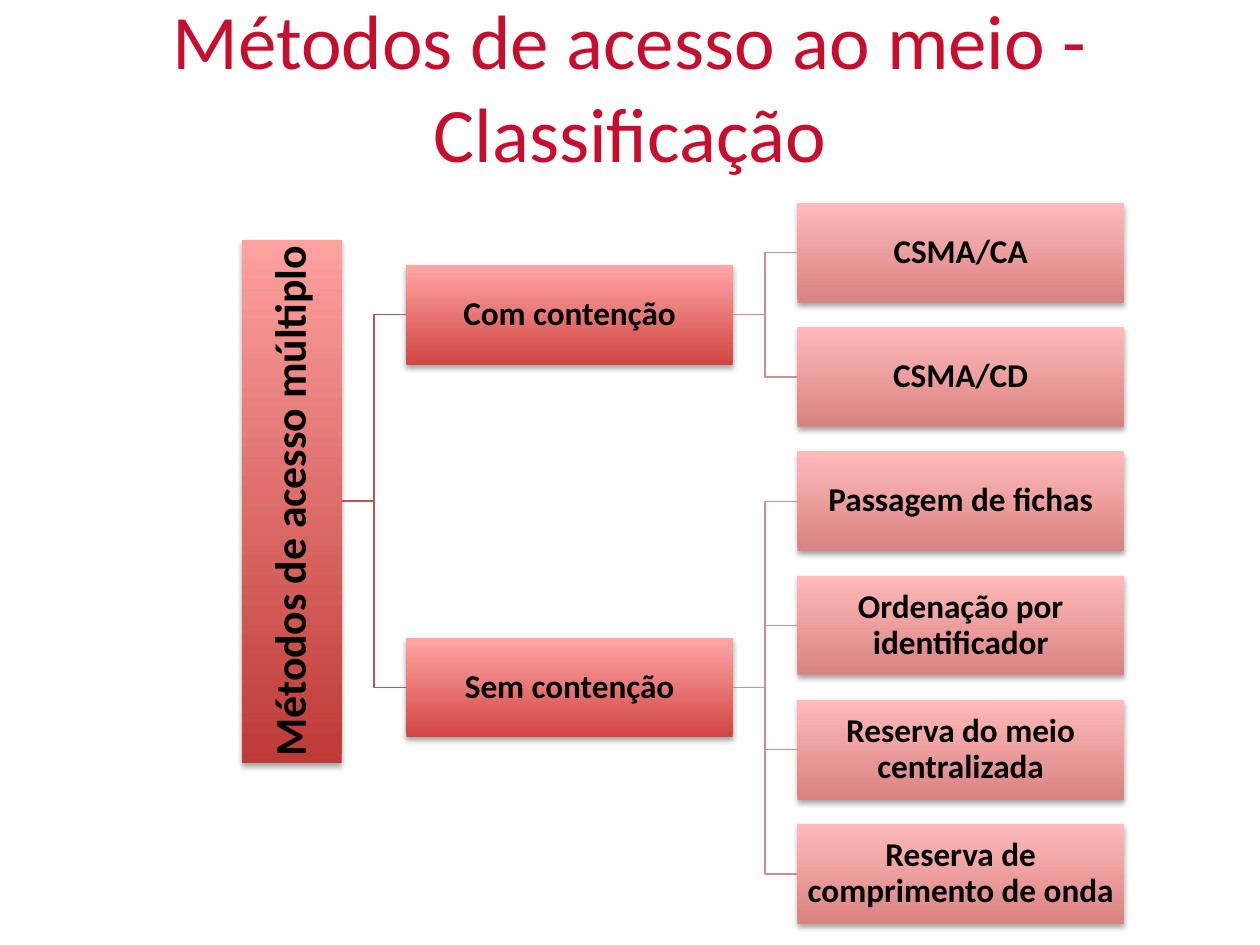
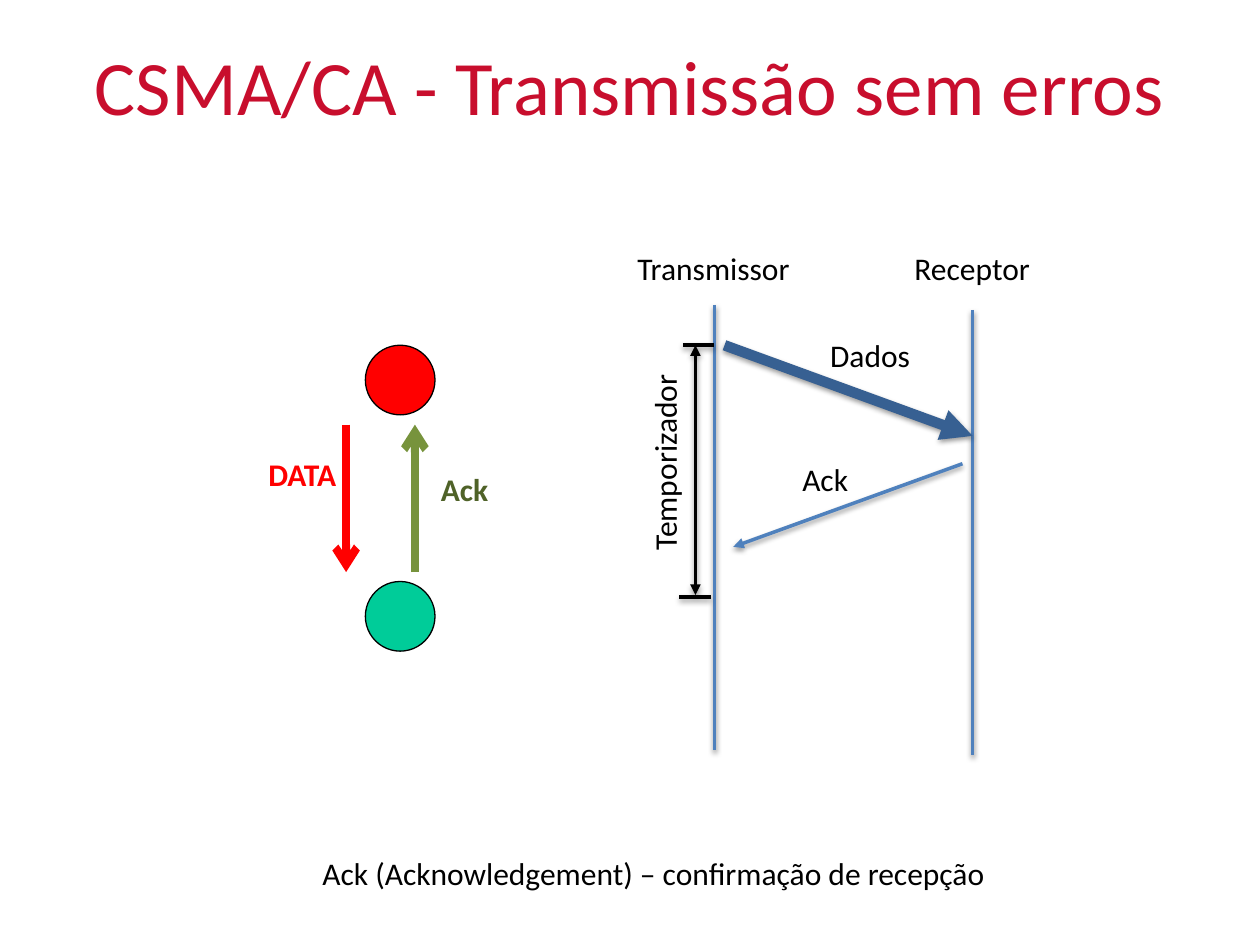
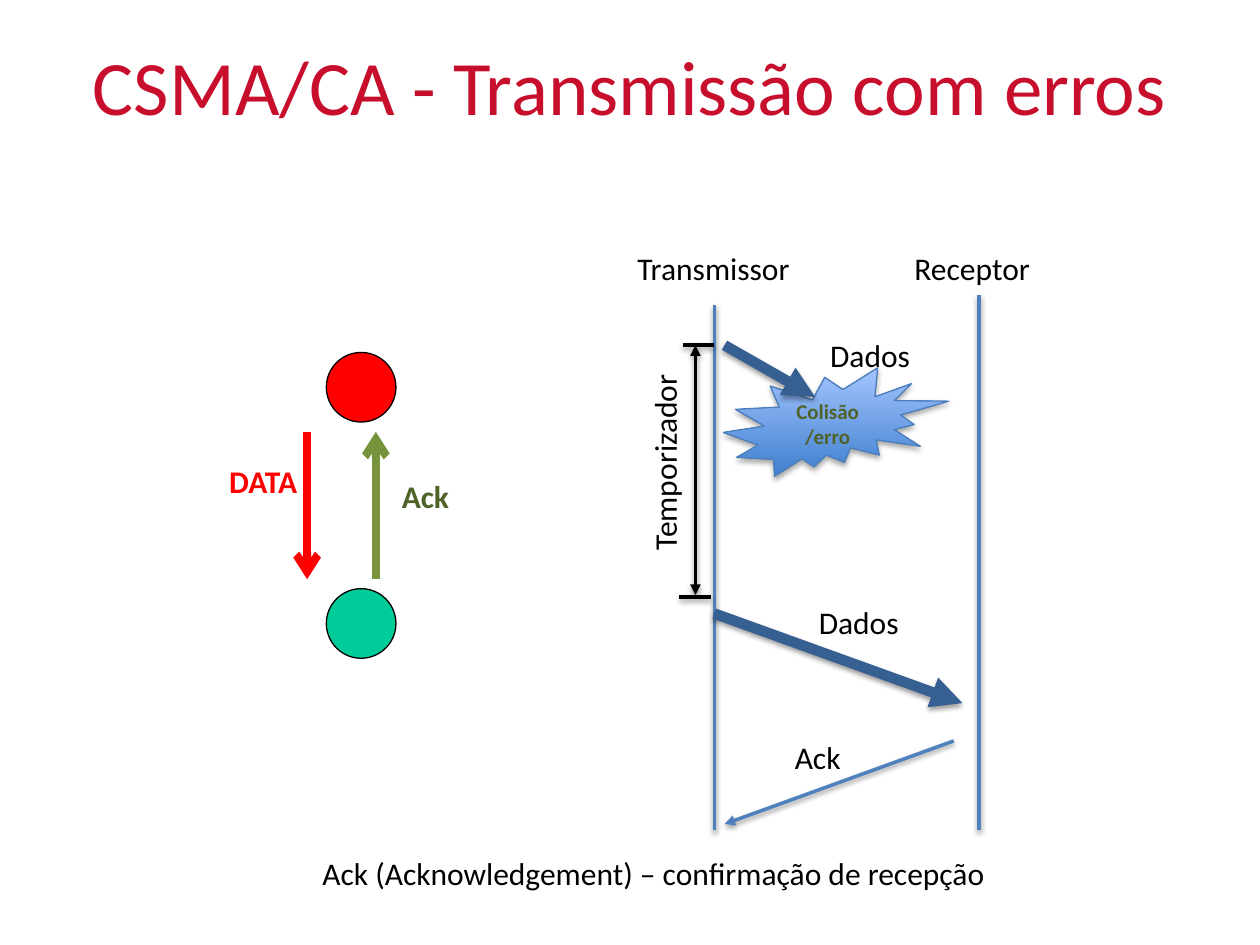
from dataclasses import dataclass

from lxml.etree import SubElement
from pptx import Presentation
from pptx.dml.color import RGBColor
from pptx.enum.shapes import MSO_CONNECTOR, MSO_SHAPE
from pptx.enum.text import MSO_ANCHOR, MSO_AUTO_SIZE, PP_ALIGN
from pptx.oxml.ns import qn
from pptx.util import Pt


# Theme
@dataclass(frozen=True)
class Theme:
    font: str = "Calibri"
    title_size: int = 44
    root_size: int = 25
    box_size: int = 19
    label_size: int = 18
    burst_size: int = 12
    title: str = "C80E2D"
    text: str = "000000"
    root_fill: tuple = ("BE3A36", "FDA19F")
    group_fill: tuple = ("D14541", "FFA7A6")
    method_fill: tuple = ("D98382", "FFBAB9")
    burst_fill: tuple = ("3F80CE", "A4C4FF")
    burst_line: str = "4B7EBC"
    group_link: str = "C15452"
    method_link: str = "CF8D8C"
    sender: str = "FF0000"
    receiver: str = "00CC99"
    ack_arrow: str = "77933C"
    ack_text: str = "4F6228"
    lifeline: str = "4F81BD"
    data_arrow: str = "376092"


THEME = Theme()

# Content: classification tree
TREE_TITLE = "Métodos de acesso ao meio - Classificação"
ROOT = "Métodos de acesso múltiplo"
GROUPS = {
    "Com contenção": ["CSMA/CA", "CSMA/CD"],
    "Sem contenção": [
        "Passagem de fichas",
        "Ordenação por identificador",
        "Reserva do meio centralizada",
        "Reserva de comprimento de onda",
    ],
}

# Content: transmissions; messages are (text, label corner, start, end)
FOOTNOTE = "Ack (Acknowledgement) – confirmação de recepção"
TRANSMISSIONS = [
    {
        "title": "CSMA/CA - Transmissão sem erros",
        "stations": (208.8, 197.3),
        "lifelines": [(408.2, 174.2, 428.4), (555.8, 177.1, 431.3)],
        "messages": [
            ("Dados", (467.3, 188.6), (414, 197.3), (555.8, 249.1)),
            ("Ack", (451.4, 259.2), (550, 265), (419, 312.5)),
        ],
        "collision": None,
    },
    {
        "title": "CSMA/CA - Transmissão com erros",
        "stations": (186.5, 201.4),
        "lifelines": [(408.2, 174.2, 474.5), (559.4, 168.5, 474.5)],
        "messages": [
            ("Dados", (467.3, 188.6), (414, 197.3), (465.8, 226.8)),
            ("Dados", (460.8, 341.3), (408.2, 350.6), (550, 401.8)),
            ("Ack", (447.1, 418.3), (545, 423.4), (414, 470.9)),
        ],
        "collision": ["Colisão", "/erro"],
    },
]
MESSAGE_STYLES = {  # colour, line width, label width
    "Dados": (THEME.data_arrow, 6, 60.5),
    "Ack": (THEME.lifeline, 2, 41),
}

# Tree measures
TREE_LEFT, TREE_TOP = 138.2, 115.9
BOX_WIDTH, BOX_HEIGHT, BOX_PITCH, COLUMN_GAP = 186.5, 57, 71, 37
ROOT_LENGTH = 299


# Shared helpers
def rgb(color):
    return RGBColor.from_string(color)


def set_shadow(part, opacity=0, distance=0):
    """Replace the inherited shadow; opacity 0 means none."""
    effects = SubElement(part.element.spPr, qn("a:effectLst"))
    if opacity:
        shadow = SubElement(effects, qn("a:outerShdw"), blurRad=str(Pt(3.1)),
                            dist=str(Pt(distance)), dir="5400000", rotWithShape="0")
        black = SubElement(shadow, qn("a:srgbClr"), val="000000")
        SubElement(black, qn("a:alpha"), val=str(opacity * 1000))


def style_text(frame, lines, size, color, bold=False, align=PP_ALIGN.CENTER):
    frame.text = "\n".join(lines)
    for paragraph in frame.paragraphs:
        paragraph.alignment = align
        font = paragraph.font
        font.name, font.size, font.bold = THEME.font, Pt(size), bold
        font.color.rgb = rgb(color)


def fill_gradient(shape, colors):
    shape.fill.gradient()
    shape.fill.gradient_angle = 90
    for stop, color in zip(shape.fill.gradient_stops, colors):
        stop.color.rgb = rgb(color)


def add_titled_slide(deck, title):
    slide = deck.slides.add_slide(deck.slide_layouts[5])
    heading = slide.shapes.title
    heading.left, heading.top, heading.width, heading.height = Pt(36), Pt(3.6), Pt(648), Pt(90)
    style_text(heading.text_frame, [title], THEME.title_size, THEME.title)
    heading.text_frame.vertical_anchor = MSO_ANCHOR.MIDDLE
    heading.text_frame.auto_size = MSO_AUTO_SIZE.NONE
    return slide


def add_label(slide, text, left, top, width, color=THEME.text, bold=False):
    label = slide.shapes.add_textbox(Pt(left), Pt(top), Pt(width), Pt(29))
    style_text(label.text_frame, [text], THEME.label_size, color, bold, PP_ALIGN.LEFT)
    label.text_frame.word_wrap = False
    label.text_frame.auto_size = MSO_AUTO_SIZE.SHAPE_TO_FIT_TEXT
    return label


def add_line(slide, start, end, color, width, head=None, tail=None, shadowed=True):
    line = slide.shapes.add_connector(MSO_CONNECTOR.STRAIGHT, *map(Pt, start + end))
    line.line.color.rgb, line.line.width = rgb(color), Pt(width)
    outline = line.element.spPr.find(qn("a:ln"))
    for tag, arrow in (("a:headEnd", head), ("a:tailEnd", tail)):
        if arrow:
            SubElement(outline, qn(tag), type=arrow)
    set_shadow(line, 38 if shadowed else 0, 1.6)


# Classification tree
def add_box(slide, text, left, middle, width, height, colors, size):
    box = slide.shapes.add_shape(MSO_SHAPE.RECTANGLE, Pt(left), Pt(middle - height / 2),
                                 Pt(width), Pt(height))
    fill_gradient(box, colors)
    box.line.fill.background()
    set_shadow(box, 35, 1.8)
    frame = box.text_frame
    style_text(frame, [text], size, THEME.text, bold=True)
    frame.paragraphs[0].line_spacing = 0.9
    frame.vertical_anchor = MSO_ANCHOR.MIDDLE
    frame.word_wrap = True
    frame.margin_left = frame.margin_right = frame.margin_top = frame.margin_bottom = Pt(1)
    return box


def link_boxes(slide, parent, child, color):
    link = slide.shapes.add_connector(MSO_CONNECTOR.ELBOW, 0, 0, 0, 0)
    link.begin_connect(parent, 3)
    link.end_connect(child, 1)
    link.line.color.rgb, link.line.width = rgb(color), Pt(0.75)
    set_shadow(link)


def build_tree(deck):
    slide = add_titled_slide(deck, TREE_TITLE)
    group_left = TREE_LEFT + BOX_HEIGHT + COLUMN_GAP
    method_left = group_left + BOX_WIDTH + COLUMN_GAP
    middle = TREE_TOP + BOX_HEIGHT / 2
    group_boxes, group_middles = [], []
    for group, methods in GROUPS.items():
        method_middles = [middle + i * BOX_PITCH for i in range(len(methods))]
        middle += len(methods) * BOX_PITCH
        group_middles.append(sum(method_middles) / len(methods))
        group_box = add_box(slide, group, group_left, group_middles[-1], BOX_WIDTH,
                            BOX_HEIGHT, THEME.group_fill, THEME.box_size)
        group_boxes.append(group_box)
        for method, method_middle in zip(methods, method_middles):
            method_box = add_box(slide, method, method_left, method_middle, BOX_WIDTH,
                                 BOX_HEIGHT, THEME.method_fill, THEME.box_size)
            link_boxes(slide, group_box, method_box, THEME.method_link)

    root_box = add_box(slide, ROOT, TREE_LEFT, sum(group_middles) / len(group_middles),
                       BOX_HEIGHT, ROOT_LENGTH, THEME.root_fill, THEME.root_size)
    root_box.element.txBody.find(qn("a:bodyPr")).set("vert", "vert270")
    for group_box in group_boxes:
        link_boxes(slide, root_box, group_box, THEME.group_link)


# Transmission diagrams
def add_stations(slide, left, top):
    for color, drop in ((THEME.receiver, 135), (THEME.sender, 0)):
        station = slide.shapes.add_shape(MSO_SHAPE.OVAL, Pt(left), Pt(top + drop),
                                         Pt(39.8), Pt(39.8))
        station.fill.solid()
        station.fill.fore_color.rgb = rgb(color)
        station.line.color.rgb, station.line.width = rgb(THEME.text), Pt(0.75)
        station.shadow.inherit = False
    upper, lower = top + 45.4, top + 129.6
    data_x, ack_x = left - 11, left + 28.3
    add_line(slide, (data_x, upper), (data_x, lower), THEME.sender, 4.5,
             tail="arrow", shadowed=False)
    add_label(slide, "DATA", left - 62.6, top + 59, 53.5, THEME.sender, True)
    add_line(slide, (ack_x, lower), (ack_x, upper), THEME.ack_arrow, 4.5,
             tail="arrow", shadowed=False)
    add_label(slide, "Ack", left + 36, top + 67.7, 41.8, THEME.ack_text, True)


def add_timer(slide):
    add_line(slide, (397.4, 197.3), (397.4, 340), THEME.text, 2, "triangle", "triangle")
    for left, level in ((390.2, 197.3), (388.1, 341.3)):
        add_line(slide, (left, level), (left + 18, level), THEME.text, 2)
    add_label(slide, "Temporizador", 321.8, 249.1, 116).rotation = 270


def add_collision(slide, lines):
    burst = slide.shapes.add_shape(MSO_SHAPE.EXPLOSION2, Pt(413.3), Pt(210.2),
                                   Pt(128.9), Pt(62))
    fill_gradient(burst, THEME.burst_fill)
    burst.line.color.rgb, burst.line.width = rgb(THEME.burst_line), Pt(0.75)
    set_shadow(burst, 35, 1.8)
    style_text(burst.text_frame, lines, THEME.burst_size, THEME.ack_text, bold=True)
    burst.text_frame.vertical_anchor = MSO_ANCHOR.MIDDLE


def build_transmission(deck, transmission):
    slide = add_titled_slide(deck, transmission["title"])
    add_stations(slide, *transmission["stations"])
    for x, top, bottom in transmission["lifelines"]:
        add_line(slide, (x, top), (x, bottom), THEME.lifeline, 2)
    add_label(slide, "Transmissor", 357.1, 139, 102.2)
    add_label(slide, "Receptor", 515.5, 139, 81.4)
    add_label(slide, FOOTNOTE, 177.1, 484.6, 397.4)
    add_timer(slide)
    for text, corner, _, _ in transmission["messages"]:
        add_label(slide, text, *corner, MESSAGE_STYLES[text][2])
    if transmission["collision"]:
        add_collision(slide, transmission["collision"])
    for text, _, start, end in transmission["messages"]:
        color, width, _ = MESSAGE_STYLES[text]
        add_line(slide, start, end, color, width, tail="triangle")


def main():
    deck = Presentation()
    deck.slide_width, deck.slide_height = Pt(720), Pt(540)
    build_tree(deck)
    for transmission in TRANSMISSIONS:
        build_transmission(deck, transmission)
    deck.save("out.pptx")


if __name__ == "__main__":
    main()
